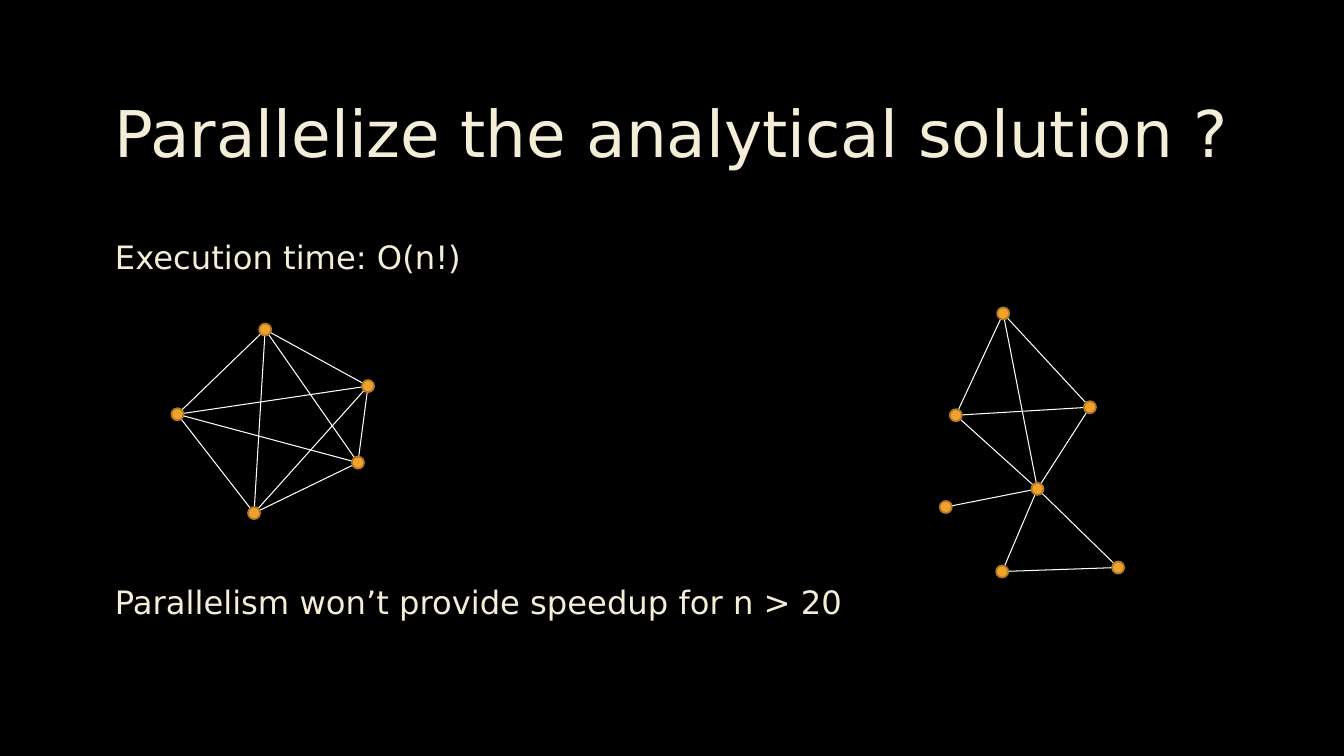
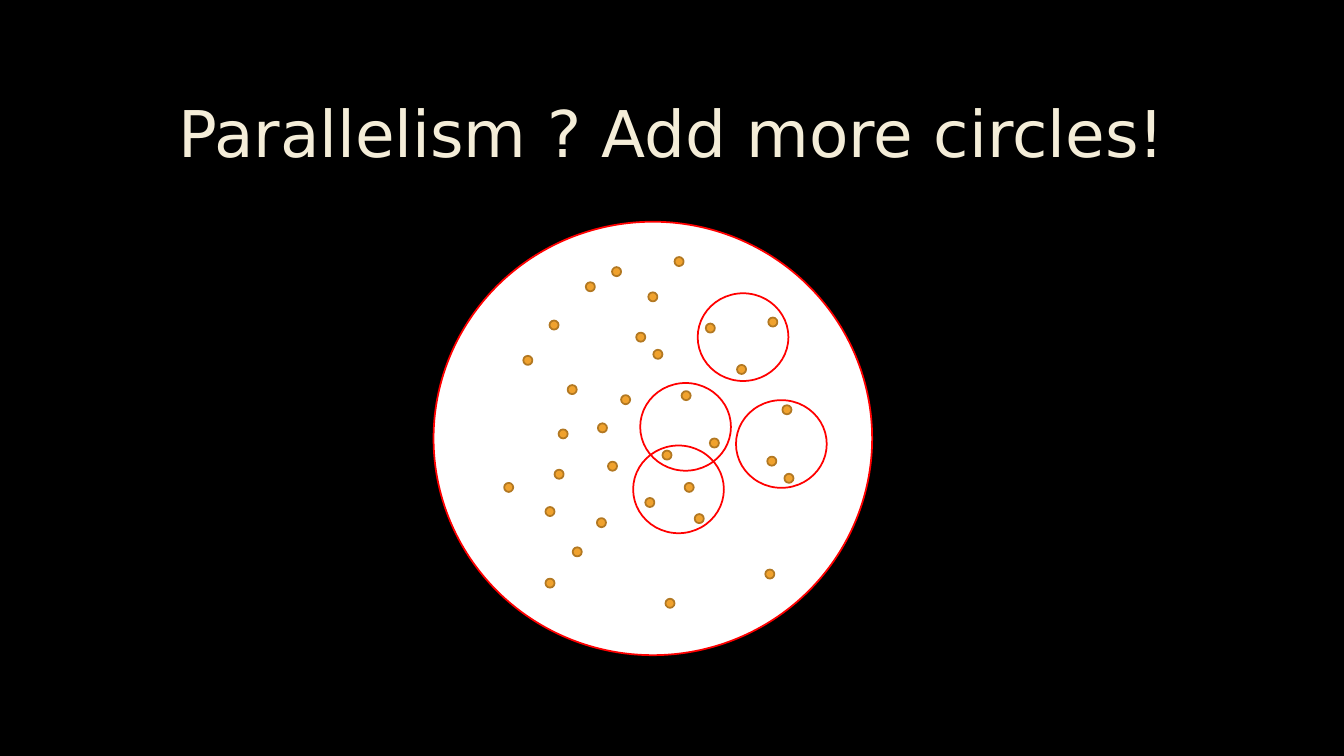
"""Two dark slides on parallelism: graphs with their growth rate, and circles over points."""
from dataclasses import dataclass
from itertools import combinations

from lxml.etree import SubElement
from pptx import Presentation
from pptx.dml.color import RGBColor
from pptx.enum.shapes import MSO_CONNECTOR, MSO_SHAPE
from pptx.enum.text import MSO_ANCHOR, MSO_AUTO_SIZE, PP_ALIGN
from pptx.oxml.ns import qn
from pptx.util import Pt

PX = 9144


@dataclass(frozen=True)
class Theme:
    back: str = "000000"
    text: str = "F4EDD8"
    white: str = "FFFFFF"
    dot: str = "F0A22E"
    rim: str = "B27822"
    ring: str = "FF0000"
    font: str = "DejaVu Sans"
    title: int = 46
    body: int = 23
    thin: float = 0.75
    edge: float = 1.25


T = Theme()
SIZE = (1333, 750)
TITLE = (100, 67, 1132, 138)
BODY = (100, 227, 1132, 406)
INDENT = 4

GROWTH = "Parallelize the analytical solution ?"
POINTS = [("Execution time: O(n!)", 5), ("Parallelism won’t provide speedup for n > 20", 210)]
NODE = 12
FULL = [(263, 327), (176, 411), (355, 459), (252, 509), (365, 383)]
SPARSE = [(995, 311), (948, 412), (1081, 404), (1029, 485), (938, 503), (994, 567), (1109, 563)]
LINKS = [(0, 1), (0, 2), (0, 3), (1, 2), (1, 3), (2, 3), (3, 4), (3, 5), (3, 6), (5, 6)]
GRAPHS = [(FULL, list(combinations(range(len(FULL)), 2))), (SPARSE, LINKS)]

CIRCLES = "Parallelism ? Add more circles!"
FIELD = (430, 220, 435, 430)
SPOT = 9
SPOTS = [
    (581, 280), (607, 265), (669, 255), (643, 290), (545, 318), (616, 392), (519, 353),
    (554, 426), (700, 321), (731, 362), (676, 388), (704, 435), (776, 402), (762, 315),
    (761, 453), (563, 382), (631, 330), (648, 347), (778, 470), (593, 420), (603, 458),
    (640, 494), (657, 447), (679, 479), (689, 510), (759, 565), (500, 479), (550, 466),
    (541, 503), (541, 574), (568, 543), (592, 514), (660, 594),
]
RING = (90, 87)
RINGS = [(692, 291), (730, 397), (628, 442), (635, 380)]


def emu(box):
    return [round(n * PX) for n in box]


def rgb(code):
    return RGBColor.from_string(code)


def style(par, size):
    for run in par.runs:
        run.font.name = T.font
        run.font.size = Pt(size)
        run.font.color.rgb = rgb(T.text)


def place(shape, box):
    shape.left, shape.top, shape.width, shape.height = emu(box)
    frame = shape.text_frame
    frame.word_wrap = True
    frame.auto_size = MSO_AUTO_SIZE.NONE
    return frame


def start(prs, layout, title):
    slide = prs.slides.add_slide(prs.slide_layouts.get_by_name(layout))
    frame = place(slide.shapes.title, TITLE)
    frame.text = title
    frame.vertical_anchor = MSO_ANCHOR.MIDDLE
    par = frame.paragraphs[0]
    par.alignment = PP_ALIGN.CENTER
    par.line_spacing = 0.9
    style(par, T.title)
    return slide


def fill_body(slide):
    frame = place(slide.placeholders[1], BODY)
    frame.text = "\n".join(text for text, gap in POINTS)
    frame.vertical_anchor = MSO_ANCHOR.TOP
    for par, (text, gap) in zip(frame.paragraphs, POINTS):
        par.alignment = PP_ALIGN.LEFT
        par.line_spacing = 1.1
        par.space_before = Pt(gap)
        par.space_after = Pt(6)
        style(par, T.body)
        props = par._p.get_or_add_pPr()
        props.set("marL", str(INDENT * PX))
        props.set("indent", "0")
        SubElement(props, qn("a:buNone"))


def add_disc(slide, box, fill, line):
    disc = slide.shapes.add_shape(MSO_SHAPE.OVAL, *emu(box))
    disc.shadow.inherit = False
    if fill:
        disc.fill.solid()
        disc.fill.fore_color.rgb = rgb(fill)
    else:
        disc.fill.background()
    disc.line.color.rgb = rgb(line)
    disc.line.width = Pt(T.edge)


def add_edge(slide, head, tail):
    edge = slide.shapes.add_connector(MSO_CONNECTOR.STRAIGHT, *emu(head + tail))
    edge.line.color.rgb = rgb(T.white)
    edge.line.width = Pt(T.thin)
    SubElement(edge.element.spPr, qn("a:effectLst"))


def add_graph(slide, nodes, links):
    for a, b in links:
        add_edge(slide, nodes[a], nodes[b])
    for x, y in nodes:
        add_disc(slide, (x - NODE / 2, y - NODE / 2, NODE, NODE), T.dot, T.rim)


def main():
    prs = Presentation()
    prs.slide_width, prs.slide_height = emu(SIZE)
    back = prs.slide_master.background.fill
    back.solid()
    back.fore_color.rgb = rgb(T.back)

    slide = start(prs, "Title and Content", GROWTH)
    fill_body(slide)
    for nodes, links in GRAPHS:
        add_graph(slide, nodes, links)

    slide = start(prs, "Title Only", CIRCLES)
    add_disc(slide, FIELD, T.white, T.ring)
    for spot in SPOTS:
        add_disc(slide, spot + (SPOT, SPOT), T.dot, T.rim)
    for ring in RINGS:
        add_disc(slide, ring + RING, None, T.ring)

    prs.save("out.pptx")


if __name__ == "__main__":
    main()
